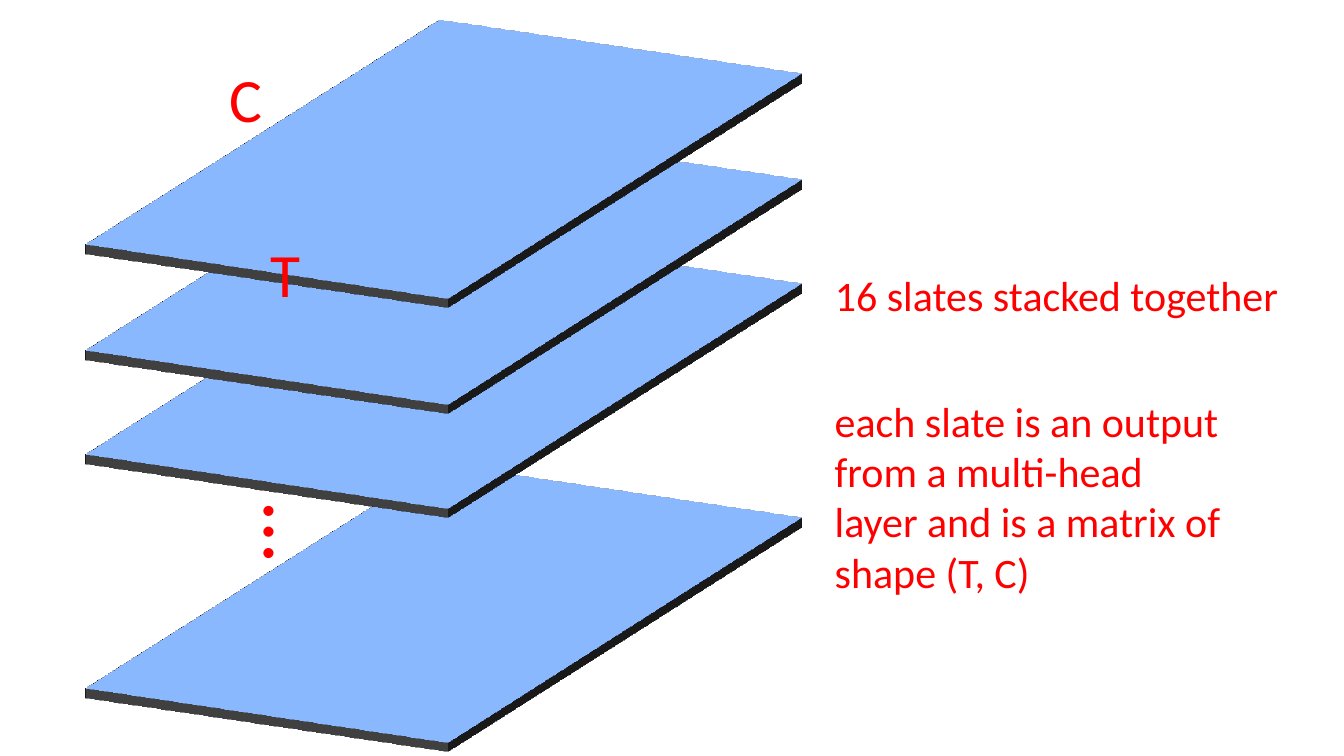
from dataclasses import dataclass

from lxml import etree
from pptx import Presentation
from pptx.dml.color import RGBColor
from pptx.enum.shapes import MSO_SHAPE
from pptx.enum.text import MSO_ANCHOR, MSO_AUTO_SIZE, PP_ALIGN
from pptx.oxml.ns import qn
from pptx.shapes.autoshape import Shape
from pptx.slide import Slide
from pptx.util import Inches, Pt

RECT = MSO_SHAPE.RECTANGLE
TOP = MSO_ANCHOR.TOP
LEFT = PP_ALIGN.LEFT
NO_FIT = MSO_AUTO_SIZE.NONE


@dataclass(frozen=True)
class Theme:
    font: str = "Calibri"
    ink: str = "FF0000"
    fill: str = "4472C4"
    edge: str = "1E3256"
    side: str = "808080"
    note: int = 30
    mark: int = 44
    dots: int = 60


@dataclass(frozen=True)
class Label:
    text: str
    left: float
    top: float
    width: float
    height: float
    size: int
    turn: int = 0


THEME = Theme()

SLATE_X, SLATE_W, SLATE_H = 2.4, 4, 8
THICK = 0.1
SLATE_TOPS = (1.98, -0.34, -1.37, -2.42)  # lowest slate first

HEAD = Label("16 slates stacked together", 8.18, 2.62, 5.1, 0.61, THEME.note)
LABELS = (
    Label("…", 2.03, 5.26, 1.84, 1.11, THEME.dots, turn=90),
    Label("T", 2.58, 2.29, 4, 2, THEME.mark),
    Label("C", 2.18, 0.56, 4, 0.84, THEME.mark),
    Label("each slate is an output from a multi-head layer and is a matrix "
          "of shape (T, C)", 8.18, 3.87, 4.11, 2.42, THEME.note),
)


def write(shape: Shape, text: str, *, size: int, color: str = THEME.ink,
          font: str = THEME.font) -> None:
    frame = shape.text_frame
    frame.word_wrap = True
    frame.auto_size = NO_FIT
    frame.vertical_anchor = TOP
    para = frame.paragraphs[0]
    para.alignment = LEFT
    run = para.add_run()
    run.text = text
    run.font.name = font
    run.font.size = Pt(size)
    run.font.color.rgb = RGBColor.from_string(color)


def place(shape: Shape, label: Label) -> None:
    """Move a text shape to its label's box and fill in the words."""
    shape.left, shape.top = Inches(label.left), Inches(label.top)
    shape.width, shape.height = Inches(label.width), Inches(label.height)
    shape.rotation = label.turn
    write(shape, label.text, size=label.size)


def tilt(shape: Shape, depth: float, color: str) -> None:
    """Lay the shape flat in space and give it a solid depth."""
    props = shape.element.spPr
    scene = etree.SubElement(props, qn("a:scene3d"))
    etree.SubElement(scene, qn("a:camera"), prst="isometricOffAxis2Top")
    etree.SubElement(scene, qn("a:lightRig"), rig="threePt", dir="t")
    solid = etree.SubElement(props, qn("a:sp3d"),
                             extrusionH=str(Inches(depth)))
    paint = etree.SubElement(solid, qn("a:extrusionClr"))
    etree.SubElement(paint, qn("a:srgbClr"), val=color)


def draw_slate(slide: Slide, top: float) -> None:
    slate = slide.shapes.add_shape(RECT, Inches(SLATE_X), Inches(top),
                                   Inches(SLATE_W), Inches(SLATE_H))
    slate.shadow.inherit = False
    slate.fill.solid()
    slate.fill.fore_color.rgb = RGBColor.from_string(THEME.fill)
    slate.line.color.rgb = RGBColor.from_string(THEME.edge)
    slate.line.width = Pt(1)
    tilt(slate, THICK, THEME.side)


def main() -> None:
    deck = Presentation()
    deck.slide_width, deck.slide_height = Inches(13.33), Inches(7.5)
    slide = deck.slides.add_slide(deck.slide_layouts[5])
    for top in SLATE_TOPS:
        draw_slate(slide, top)
    place(slide.shapes.title, HEAD)
    for label in LABELS:
        place(slide.shapes.add_textbox(0, 0, 0, 0), label)
    deck.save("out.pptx")


if __name__ == "__main__":
    main()
